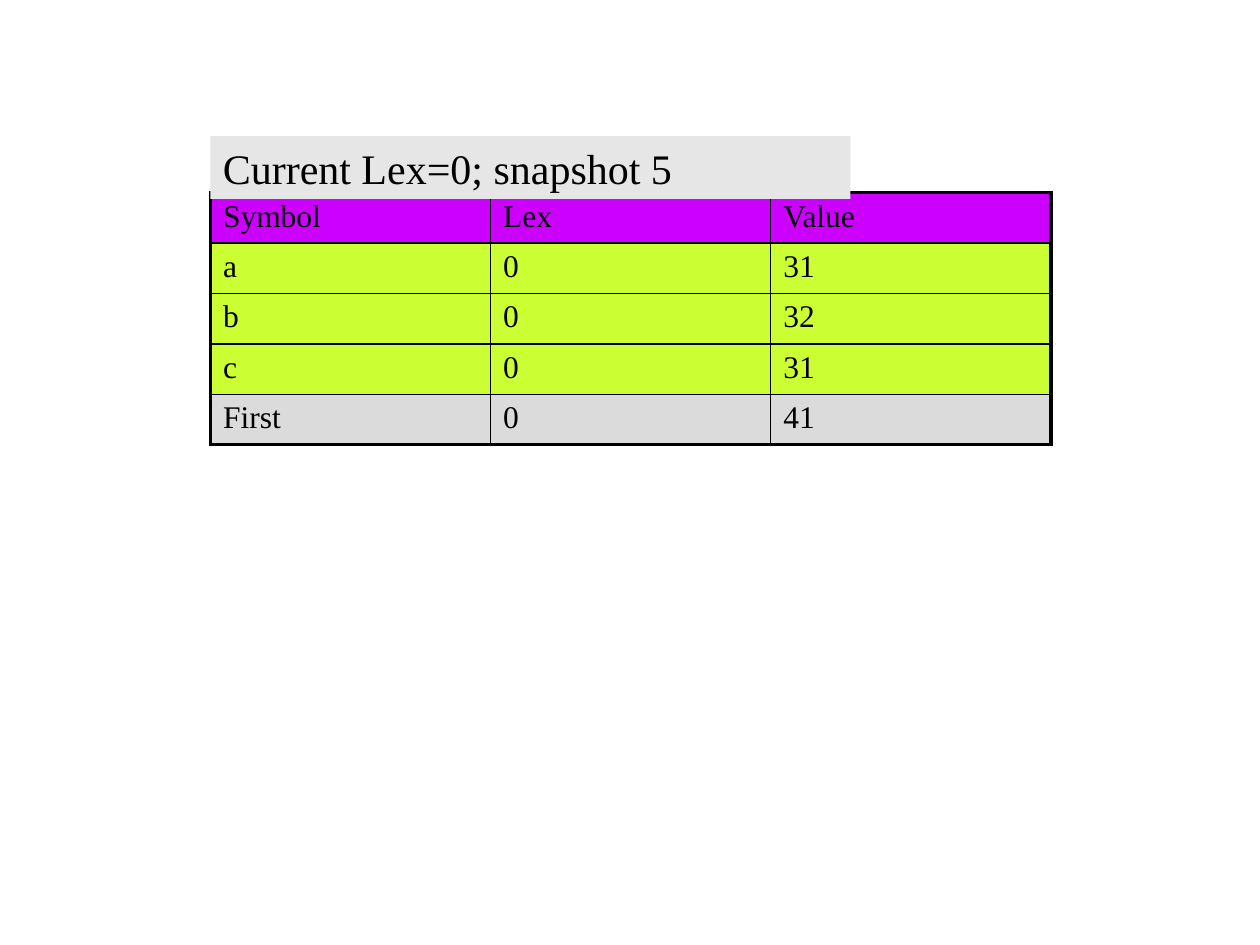
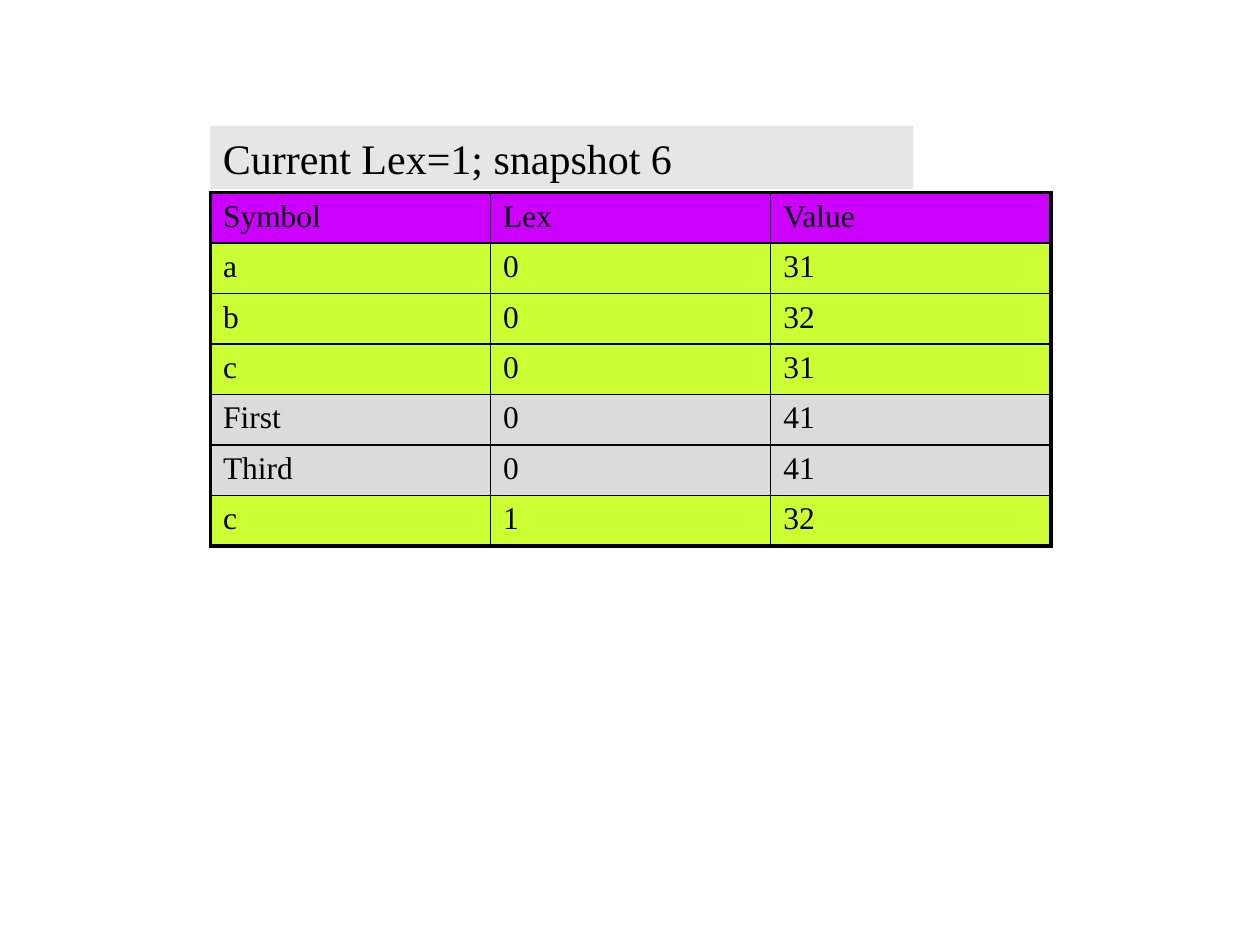
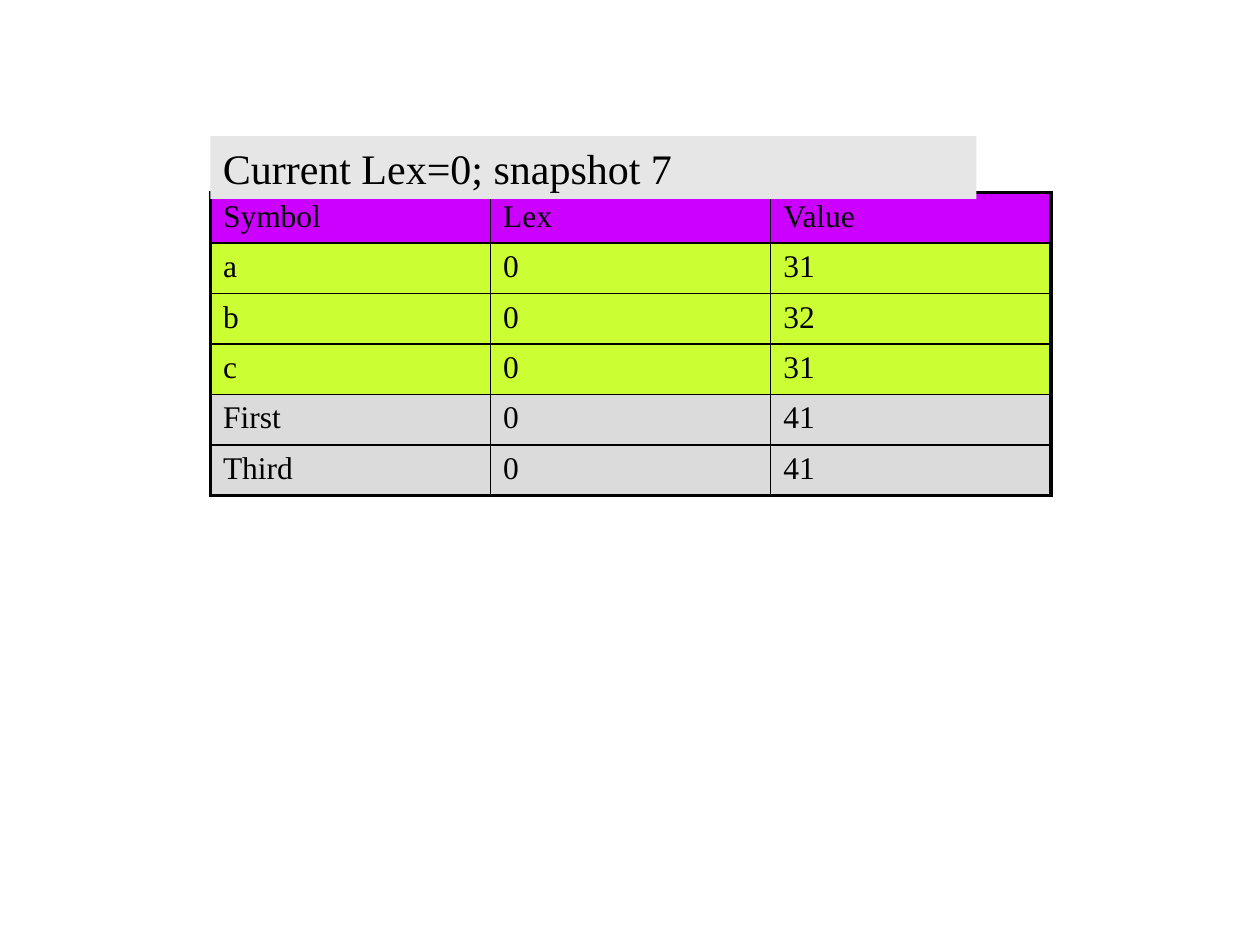
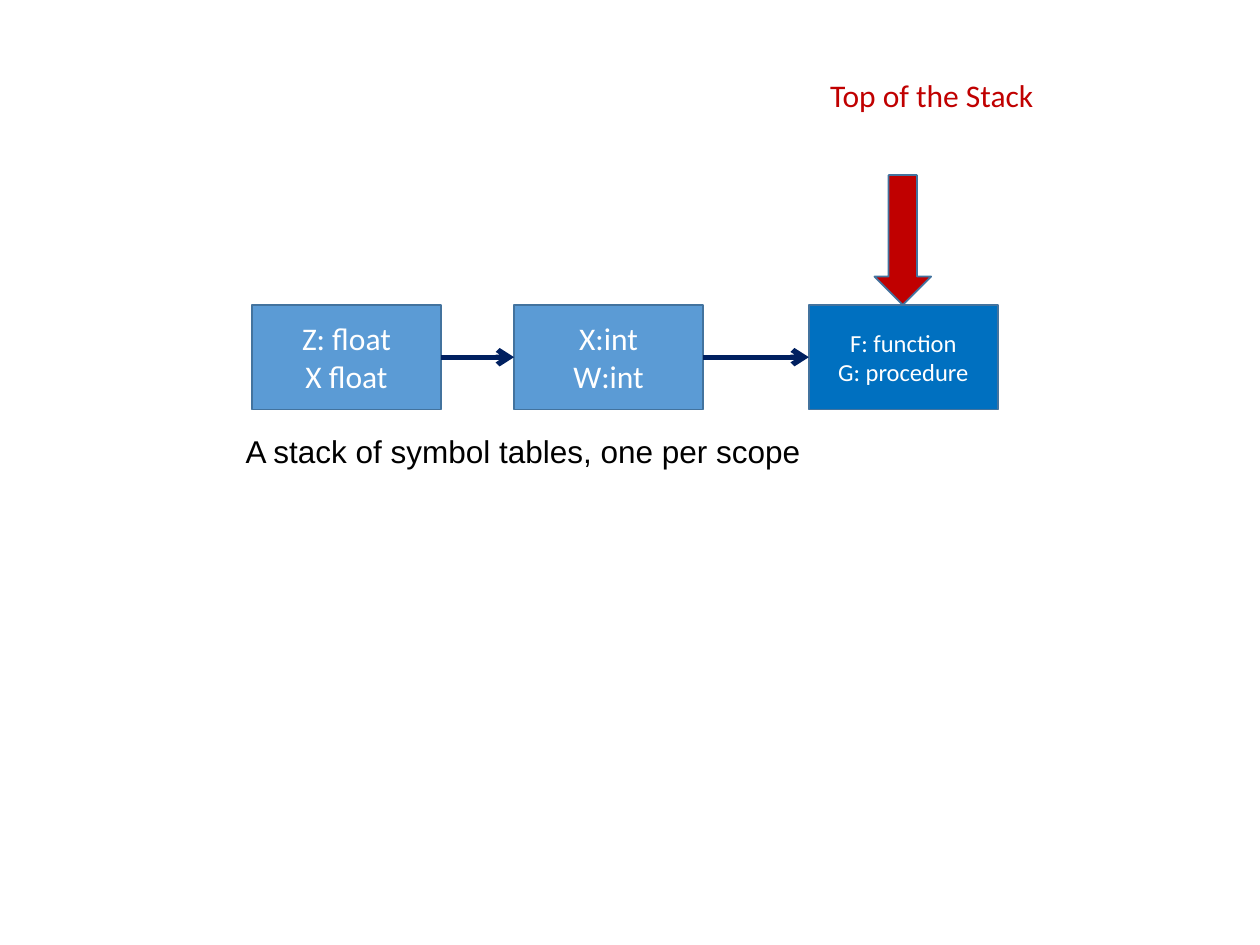
import pptx
import pptx.util
import pptx.dml.color
import pptx.enum.shapes
import pptx.enum.text
import pptx.oxml.ns
import lxml.etree

Inches = pptx.util.Inches
Pt = pptx.util.Pt
SHAPES = pptx.enum.shapes.MSO_SHAPE
ALIGN = pptx.enum.text.PP_ALIGN
ANCHOR = pptx.enum.text.MSO_ANCHOR
AUTO_SIZE = pptx.enum.text.MSO_AUTO_SIZE

COLORS = {
    "ink": "000000",
    "paper": "FFFFFF",
    "banner": "E7E6E6",
    "heading": "CC00FF",
    "variable": "CCFF33",
    "routine": "DBDBDB",
    "scope": "5B9BD5",
    "top scope": "0070C0",
    "outline": "43739E",
    "link": "002060",
    "marker": "C00000",
}
SERIF, SANS, CAPTION_FONT = "Times New Roman", "Calibri", "Arial"
THIN, THICK = 1, 2.25
ROW_HEIGHT = 0.4
ROUTINE_VALUE = "41"

HEADINGS = ("Symbol", "Lex", "Value")
GLOBALS = [("a", "0", "31"), ("b", "0", "32"), ("c", "0", "31"), ("First", "0", "41")]
THIRD = ("Third", "0", "41")
LOCAL_C = ("c", "1", "32")

# Title, banner top, banner width, symbols
SNAPSHOTS = [
    ("Current Lex=0; snapshot 5", 1.08, 5.08, GLOBALS),
    ("Current Lex=1; snapshot 6", 1, 5.58, GLOBALS + [THIRD, LOCAL_C]),
    ("Current Lex=0; snapshot 7", 1.08, 6.08, GLOBALS + [THIRD]),
]

# Offset from the stack's left edge, text, text size, fill
SCOPES = [
    (0, "Z: float\nX float", 18, "scope"),
    (2.08, "X:int\nW:int", 18, "scope"),
    (4.42, "F: function\nG: procedure", 14, "top scope"),
]


def rgb(color):
    return pptx.dml.color.RGBColor.from_string(COLORS[color])


def add_xml(parent, tag, **attributes):
    return lxml.etree.SubElement(parent, pptx.oxml.ns.qn(tag), **attributes)


def write_text(frame, text, size=18, font=SERIF, color="ink", align=ALIGN.LEFT,
               anchor=ANCHOR.TOP, space_before=0, grow=False):
    """Fill a text frame, one paragraph per line; space_before is in percent."""
    frame.word_wrap = True
    frame.vertical_anchor = anchor
    if grow:
        frame.auto_size = AUTO_SIZE.SHAPE_TO_FIT_TEXT
    for number, line in enumerate(text.split("\n")):
        paragraph = frame.add_paragraph() if number else frame.paragraphs[0]
        paragraph.alignment = align
        if space_before:
            spacing = add_xml(paragraph._p.get_or_add_pPr(), "a:spcBef")
            add_xml(spacing, "a:spcPct", val=str(space_before * 1000))
        run = paragraph.add_run()
        run.text = line
        run.font.name = font
        run.font.size = Pt(size)
        run.font.color.rgb = rgb(color)


def add_block(slide, box, fill, outline=None, kind=SHAPES.RECTANGLE):
    block = slide.shapes.add_shape(kind, *map(Inches, box))
    block.shadow.inherit = False
    block.fill.solid()
    block.fill.fore_color.rgb = rgb(fill)
    if outline:
        block.line.color.rgb = rgb(outline)
        block.line.width = Pt(1)
    else:
        block.line.fill.background()
    return block


def set_borders(cell, widths):
    """Draw the left, right, top and bottom edges, which precede the fill."""
    properties = cell._tc.get_or_add_tcPr()
    for position, (side, width) in enumerate(zip("LRTB", widths)):
        edge = add_xml(properties, f"a:ln{side}", w=str(Pt(width)))
        add_xml(add_xml(edge, "a:solidFill"), "a:srgbClr", val=COLORS["ink"])
        properties.insert(position, edge)


def add_symbol_table(slide, box, symbols):
    left, top, width = box
    rows = [HEADINGS] + symbols
    last_row, last_column = len(rows) - 1, len(HEADINGS) - 1
    table = slide.shapes.add_table(
        len(rows), len(HEADINGS), Inches(left), Inches(top),
        Inches(width), Inches(ROW_HEIGHT * len(rows))).table
    table.first_row = table.horz_banding = False
    for r, entries in enumerate(rows):
        table.rows[r].height = Inches(ROW_HEIGHT)
        if r == 0:
            fill = "heading"
        else:
            fill = "routine" if entries[-1] == ROUTINE_VALUE else "variable"
        for c, entry in enumerate(entries):
            cell = table.cell(r, c)
            cell.fill.solid()
            cell.fill.fore_color.rgb = rgb(fill)
            outer = (c == 0, c == last_column, r == 0, r == last_row)
            set_borders(cell, [THICK if edge else THIN for edge in outer])
            write_text(cell.text_frame, entry, space_before=20)


def add_banner(slide, box, title):
    banner = add_block(slide, box, "banner")
    write_text(banner.text_frame, title, size=24, space_before=50, grow=True)


def build_snapshot(slide, box, title, banner_top, banner_width, symbols):
    add_symbol_table(slide, box, symbols)
    add_banner(slide, (box[0], banner_top, banner_width, 0.5), title)


def link_scopes(slide, start, end):
    link = slide.shapes.add_connector(
        pptx.enum.shapes.MSO_CONNECTOR.STRAIGHT, 0, 0, 0, 0)
    link.begin_connect(start, 3)  # right side
    link.end_connect(end, 1)  # left side
    link.line.color.rgb = rgb("link")
    link.line.width = Pt(3)
    add_xml(link.line._get_or_add_ln(), "a:tailEnd", type="arrow")
    add_xml(link._element.spPr, "a:effectLst")


def build_scope_stack(slide, box):
    left, top, width, height = box

    # Scopes and the links between them
    scopes = []
    for offset, text, size, fill in SCOPES:
        scope = add_block(slide, (left + offset, top, 1.5, height), fill, "outline")
        write_text(scope.text_frame, text, size=size, font=SANS, color="paper",
                   align=ALIGN.CENTER, anchor=ANCHOR.MIDDLE)
        scopes.append(scope)
    for start, end in zip(scopes, scopes[1:]):
        link_scopes(slide, start, end)

    # Caption below
    caption = slide.shapes.add_textbox(
        Inches(left - 0.15), Inches(top + height + 0.13), Inches(5.42), Inches(0.4))
    write_text(caption.text_frame, "A stack of symbol tables, one per scope",
               font=CAPTION_FONT, grow=True)

    # Marker above the last scope
    label = add_block(slide, (left + 4.15, top - 2.04, 2.49, 0.75), "paper", "paper")
    write_text(label.text_frame, "Top of the Stack", font=SANS, color="marker",
               align=ALIGN.CENTER, anchor=ANCHOR.MIDDLE)
    add_block(slide, (left + 4.94, top - 1.03, 0.45, 1.03), "marker", "outline",
              SHAPES.DOWN_ARROW)


def main():
    deck = pptx.Presentation()
    deck.slide_width, deck.slide_height = Inches(10), Inches(7.5)
    blank = deck.slide_layouts[6]
    for snapshot in SNAPSHOTS:
        build_snapshot(deck.slides.add_slide(blank), (1.67, 1.53, 6.67), *snapshot)
    build_scope_stack(deck.slides.add_slide(blank), (2, 2.42, 5.92, 0.83))
    deck.save("out.pptx")


if __name__ == "__main__":
    main()
